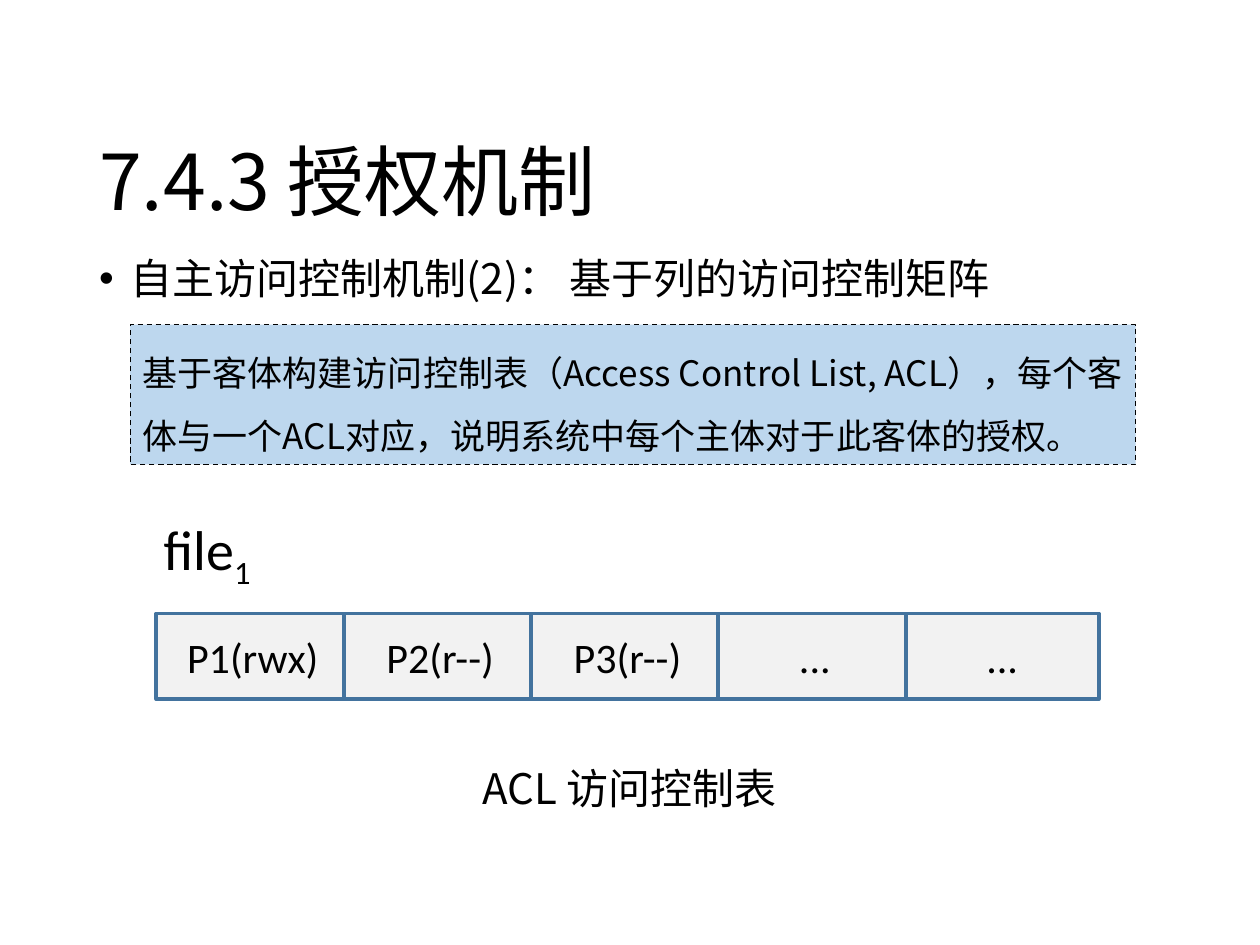
"""Build the slide on access control lists, the column view of an access matrix."""
from lxml import etree
from pptx import Presentation
from pptx.dml.color import RGBColor
from pptx.enum.dml import MSO_LINE
from pptx.enum.shapes import MSO_SHAPE
from pptx.enum.text import MSO_ANCHOR, MSO_AUTO_SIZE, PP_ALIGN
from pptx.oxml.ns import qn
from pptx.util import Pt

LEFT, CENTER = PP_ALIGN.LEFT, PP_ALIGN.CENTER
TOP, MIDDLE, BOTTOM = MSO_ANCHOR.TOP, MSO_ANCHOR.MIDDLE, MSO_ANCHOR.BOTTOM
NO_FIT, DASH, RECT = MSO_AUTO_SIZE.NONE, MSO_LINE.DASH, MSO_SHAPE.RECTANGLE
BLACK = RGBColor(0x00, 0x00, 0x00)
PALE_BLUE = RGBColor(0xBD, 0xD7, 0xEE)
PALE_GREY = RGBColor(0xF2, 0xF2, 0xF2)
STEEL_BLUE = RGBColor(0x43, 0x73, 0x9E)
CJK, LATIN = "Noto Sans CJK SC", "Calibri"

TITLE = "7.4.3 授权机制"
BULLET = "自主访问控制机制(2)： 基于列的访问控制矩阵"
DEFINITION = ("基于客体构建访问控制表（Access Control List, ACL），每个客体与一个ACL对应，"
              "说明系统中每个主体对于此客体的授权。")
FILE_NAME, FILE_INDEX = "file", "1"
ENTRIES = ["P1(rwx)", "P2(r--)", "P3(r--)", "...", "..."]
CAPTION = "ACL 访问控制表"

ENTRY_LEFT, ENTRY_TOP, ENTRY_STEP = 89.4, 350.6, 107.05
ENTRY_WIDTH, ENTRY_HEIGHT = 110.2, 49


def place(sp, left, top, width, height):
    sp.left, sp.top, sp.width, sp.height = map(Pt, (left, top, width, height))


def add_run(p, text, name, size):
    r = p.add_run()
    r.text = text
    for key, value in {"name": name, "size": Pt(size), "bold": False}.items():
        setattr(r.font, key, value)
    r.font.color.rgb = BLACK
    etree.SubElement(r._r.rPr, qn("a:ea"), typeface=name)
    return r


def write(sp, text, name, size, align=LEFT, anchor=TOP, wrap=True, spacing=1.0):
    tf = sp.text_frame
    frame = {"auto_size": NO_FIT, "word_wrap": wrap, "vertical_anchor": anchor}
    for key, value in frame.items():
        setattr(tf, key, value)
    p = tf.paragraphs[0]
    layout = {"alignment": align, "line_spacing": spacing, "space_before": Pt(0)}
    for key, value in layout.items():
        setattr(p, key, value)
    add_run(p, text, name, size)
    return p


def add_box(s, box, fill, line, width):
    sp = s.shapes.add_shape(RECT, *map(Pt, box))
    sp.shadow.inherit = False
    sp.fill.solid()
    sp.fill.fore_color.rgb = fill
    sp.line.color.rgb = line
    sp.line.width = Pt(width)
    return sp


def add_bullet(p, indent):
    pPr = p._p.get_or_add_pPr()
    pPr.set("marL", str(Pt(indent)))
    pPr.set("indent", str(-Pt(indent)))
    etree.SubElement(pPr, qn("a:buFont"), typeface="Arial")
    etree.SubElement(pPr, qn("a:buChar"), char="•")


def main():
    prs = Presentation()
    prs.slide_width, prs.slide_height = Pt(720), Pt(540)
    s = prs.slides.add_slide(prs.slide_layouts[1])

    title, body = s.placeholders
    place(title, 49.5, 28.75, 621, 104.4)
    write(title, TITLE, CJK, 44, anchor=BOTTOM, spacing=0.9)
    place(body, 49.5, 143.75, 621, 342.6)
    add_bullet(write(body, BULLET, CJK, 24, spacing=0.9), 18)

    definition = add_box(s, (74.4, 185.5, 574.6, 79.9), PALE_BLUE, BLACK, 0.75)
    definition.line.dash_style = DASH
    write(definition, DEFINITION, CJK, 20, spacing=1.5)

    for i, entry in enumerate(ENTRIES):
        box = (ENTRY_LEFT + i * ENTRY_STEP, ENTRY_TOP, ENTRY_WIDTH, ENTRY_HEIGHT)
        cell = add_box(s, box, PALE_GREY, STEEL_BLUE, 2.25)
        write(cell, entry, LATIN, 24, align=CENTER, anchor=MIDDLE)

    label = s.shapes.add_textbox(Pt(86.4), Pt(290.2), Pt(66.2), Pt(46))
    p = write(label, FILE_NAME, LATIN, 32, wrap=False)
    index = add_run(p, FILE_INDEX, LATIN, 32)
    index._r.rPr.set("baseline", "-25000")

    caption = s.shapes.add_textbox(Pt(268.6), Pt(432), Pt(188), Pt(36))
    write(caption, CAPTION, CJK, 24, wrap=False)

    prs.save("out.pptx")


if __name__ == "__main__":
    main()
